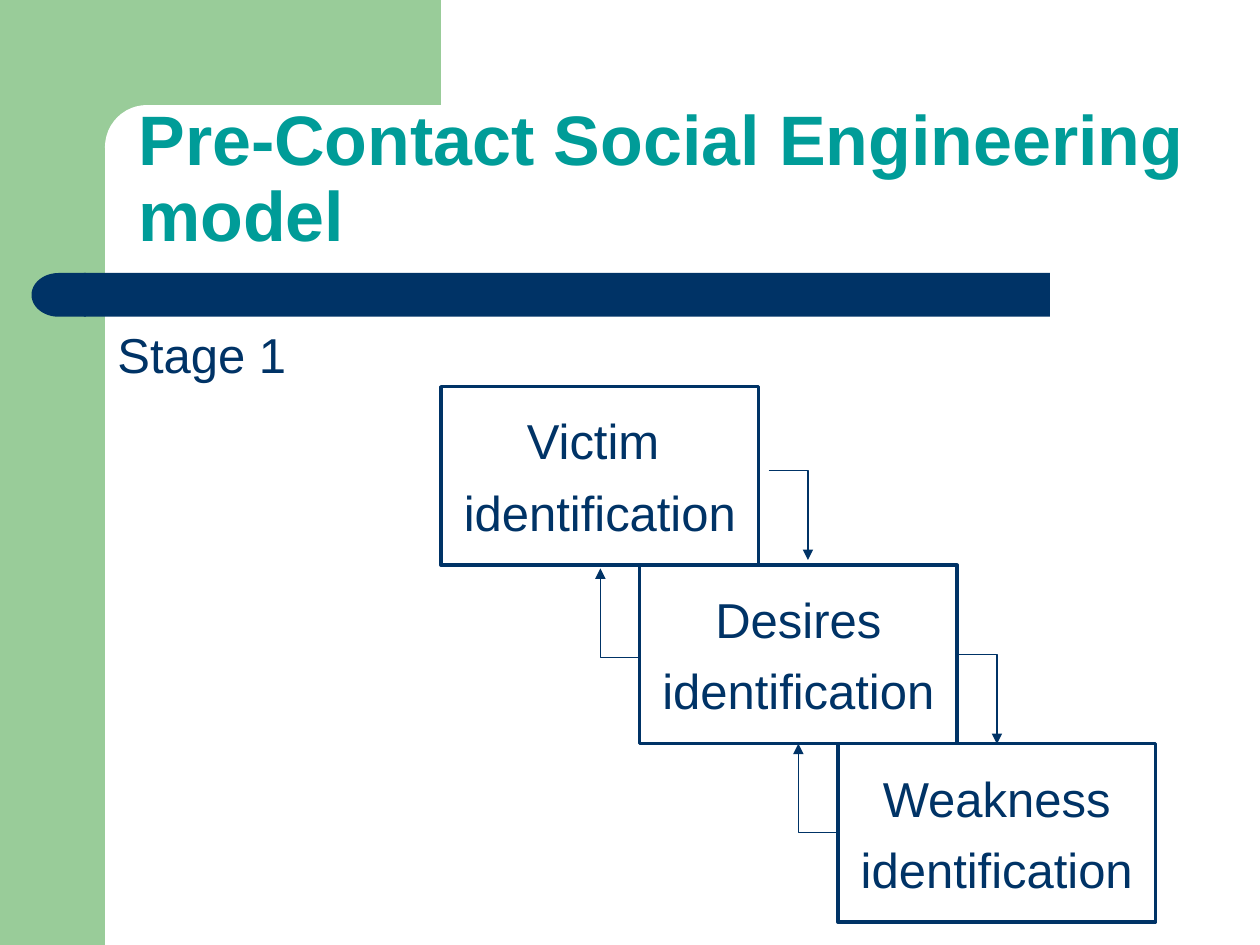
"""Build the Stage 1 slide of the pre-contact social engineering model."""
from dataclasses import dataclass
from typing import Optional

from lxml.etree import SubElement
from pptx import Presentation
from pptx.dml.color import RGBColor
from pptx.enum.shapes import MSO_CONNECTOR, MSO_SHAPE
from pptx.enum.text import MSO_ANCHOR, PP_ALIGN
from pptx.oxml.ns import qn
from pptx.util import Pt


@dataclass(frozen=True)
class Theme:
    font: str = "Arial"
    navy: str = "003366"
    teal: str = "009C98"
    green: str = "99CC99"
    white: str = "FFFFFF"
    title_size: float = 40
    body_size: float = 28
    box_line: float = 2
    arrow_line: float = 0.75


@dataclass(frozen=True)
class Area:
    left: float
    top: float
    width: float
    height: float

    def lengths(self) -> tuple:
        return tuple(Pt(n) for n in (self.left, self.top, self.width, self.height))


@dataclass(frozen=True)
class Panel:
    kind: MSO_SHAPE
    area: Area
    color: str
    rounding: Optional[float] = None
    rotation: float = 0


@dataclass(frozen=True)
class Arrow:
    left: float
    top: float
    direction: int


THEME = Theme()
PANELS = (
    Panel(MSO_SHAPE.RECTANGLE, Area(0, 0, 60, 540), THEME.green),
    Panel(MSO_SHAPE.RECTANGLE, Area(54, 0, 198, 84), THEME.green),
    Panel(MSO_SHAPE.ROUNDED_RECTANGLE, Area(60, 60, 402, 48), THEME.white, 0.5),
    Panel(MSO_SHAPE.RECTANGLE, Area(48, 156, 552, 25), THEME.navy),
    Panel(MSO_SHAPE.FLOWCHART_DELAY, Area(18, 156, 31, 25), THEME.navy, rotation=180),
)
STEPS = (
    ("Victim ", "identification"),
    ("Desires", "identification"),
    ("Weakness", "identification"),
)
FIRST_STEP = Area(252, 221, 181.5, 102)
STEP_RIGHT = 113.4
ARROW_WIDTH, ARROW_HEIGHT = 22.5, 51
ARROWS = (
    Arrow(478.8, 475.9, -1),
    Arrow(365.6, 375.8, -1),
    Arrow(547.2, 374.2, 1),
    Arrow(439.2, 269, 1),
)


def rgb(color: str) -> RGBColor:
    return RGBColor.from_string(color)


def apply_format(target, values: dict) -> None:
    for name, value in values.items():
        setattr(target, name, value)


def write_text(shape, lines: tuple, size: float, color: str, frame_format: dict,
               para_format: dict, bold: bool = False) -> None:
    frame = shape.text_frame
    apply_format(frame, frame_format)
    for index, line in enumerate(lines):
        para = frame.add_paragraph() if index else frame.paragraphs[0]
        apply_format(para, para_format)
        if index:
            para.space_before = Pt(7)
        span = para.add_run()
        span.text = line
        apply_format(span.font, {"name": THEME.font, "size": Pt(size), "bold": bold})
        span.font.color.rgb = rgb(color)


def add_panel(page, panel: Panel):
    shape = page.shapes.add_shape(panel.kind, *panel.area.lengths())
    shape.shadow.inherit = False
    shape.fill.solid()
    shape.fill.fore_color.rgb = rgb(panel.color)
    shape.line.fill.background()
    shape.rotation = panel.rotation
    if panel.rounding is not None:
        shape.adjustments[0] = panel.rounding
    return shape


def add_step(page, index: int, lines: tuple) -> None:
    area = Area(FIRST_STEP.left + index * STEP_RIGHT,
                FIRST_STEP.top + index * FIRST_STEP.height,
                FIRST_STEP.width, FIRST_STEP.height)
    box = add_panel(page, Panel(MSO_SHAPE.FLOWCHART_PROCESS, area, THEME.white))
    box.line.color.rgb = rgb(THEME.navy)
    box.line.width = Pt(THEME.box_line)
    write_text(box, lines, THEME.body_size, THEME.navy,
               {"word_wrap": False, "vertical_anchor": MSO_ANCHOR.MIDDLE},
               {"alignment": PP_ALIGN.CENTER})


def add_arrow(page, arrow: Arrow) -> None:
    connector = page.shapes.add_connector(
        MSO_CONNECTOR.ELBOW, Pt(arrow.left), Pt(arrow.top),
        Pt(arrow.left + arrow.direction * ARROW_WIDTH),
        Pt(arrow.top + arrow.direction * ARROW_HEIGHT))
    connector.line.color.rgb = rgb(THEME.navy)
    connector.line.width = Pt(THEME.arrow_line)
    properties = connector._element.spPr
    properties.find(qn("a:prstGeom")).set("prst", "bentConnector2")
    SubElement(properties.find(qn("a:ln")), qn("a:tailEnd"), type="triangle")
    SubElement(properties, qn("a:effectLst"))


def add_label(page, area: Area, line: str, size: float, color: str,
              anchor: MSO_ANCHOR, para_format: dict, bold: bool = False) -> None:
    box = page.shapes.add_textbox(*area.lengths())
    write_text(box, (line,), size, color,
               {"word_wrap": True, "vertical_anchor": anchor}, para_format, bold)


def main() -> None:
    deck = Presentation()
    apply_format(deck, {"slide_width": Pt(720), "slide_height": Pt(540)})
    page = deck.slides.add_slide(deck.slide_layouts[6])
    for panel in PANELS:
        add_panel(page, panel)
    add_label(page, Area(72, 60, 630, 90), "Pre-Contact Social Engineering model",
              THEME.title_size, THEME.teal, MSO_ANCHOR.BOTTOM,
              {"line_spacing": 0.9}, bold=True)
    for index, lines in enumerate(STEPS):
        add_step(page, index, lines)
    for arrow in ARROWS:
        add_arrow(page, arrow)
    add_label(page, Area(60, 182, 176, 41), "Stage 1",
              THEME.body_size, THEME.navy, MSO_ANCHOR.MIDDLE, {})
    deck.save("out.pptx")


if __name__ == "__main__":
    main()
